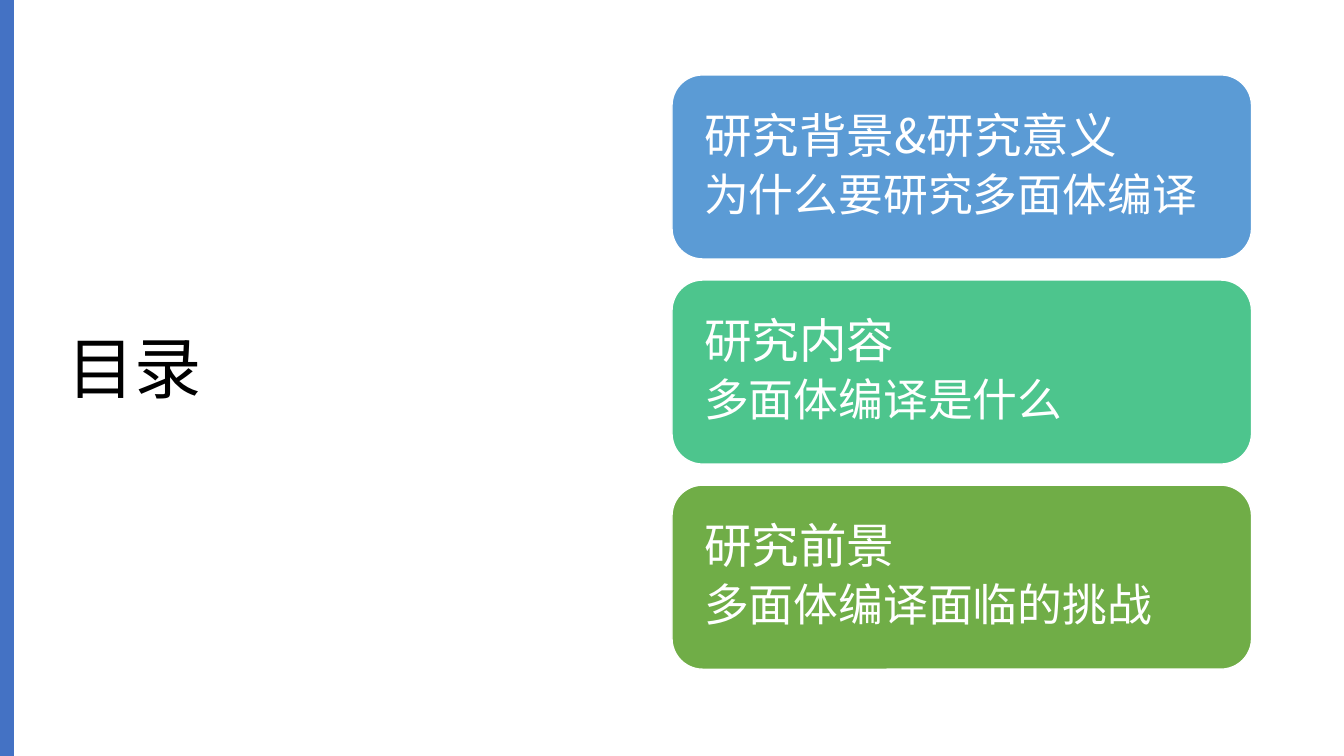
from dataclasses import dataclass
from pptx import Presentation
from pptx.dml.color import RGBColor as Rgb
from pptx.enum.shapes import MSO_SHAPE as Kind
from pptx.enum.text import MSO_ANCHOR as Anchor, PP_ALIGN as Align
from pptx.oxml.ns import qn
from pptx.util import Pt
from lxml.etree import SubElement as Sub


@dataclass
class Theme:
    font: str = "Noto Sans CJK SC"
    ink: str = "000000"
    pale: str = "FFFFFF"
    edge: str = "4472C4"
    fills: tuple = ("5B9BD5", "4DC58D", "70AD47")
    title: int = 48
    head: int = 34
    body: int = 32


class Page:
    def __init__(self, deck, theme):
        self.slide = deck.slides.add_slide(deck.slide_layouts[6])
        self.theme = theme

    def label(self, frame, rows, color, pad, after=0):
        frame.word_wrap = True
        frame.vertical_anchor = Anchor.MIDDLE
        frame.margin_left = frame.margin_right = Pt(pad)
        frame.margin_top = frame.margin_bottom = Pt(pad)
        for i, (text, size) in enumerate(rows):
            para = frame.add_paragraph() if i else frame.paragraphs[0]
            para.alignment = Align.LEFT
            para.line_spacing = 0.9
            para.space_after = Pt(after)
            run = para.add_run()
            run.text = text
            run.font.size = Pt(size)
            run.font.name = self.theme.font
            run.font.color.rgb = Rgb.from_string(color)
            Sub(run.font._element, qn("a:ea"), typeface=self.theme.font)

    def shape(self, kind, box, fill, line=None):
        item = self.slide.shapes.add_shape(kind, *map(Pt, box))
        item.shadow.inherit = False
        item.fill.solid()
        item.fill.fore_color.rgb = Rgb.from_string(fill)
        if line:
            item.line.color.rgb = Rgb.from_string(line)
            item.line.width = Pt(1)
        else:
            item.line.fill.background()
        return item

    def title(self, text, box):
        item = self.slide.shapes.add_textbox(*map(Pt, box))
        self.label(item.text_frame, [(text, self.theme.title)], self.theme.ink, 7.2)

    def bar(self, box):
        self.shape(Kind.RECTANGLE, box, self.theme.edge)

    def card(self, box, fill, head, body):
        look = self.theme
        item = self.shape(Kind.ROUNDED_RECTANGLE, box, fill, look.pale)
        rows = [(head, look.head), (body, look.body)]
        self.label(item.text_frame, rows, look.pale, 16.5, 6.3)


def main():
    deck = Presentation()
    deck.slide_width, deck.slide_height = Pt(960), Pt(540)
    theme = Theme()
    page = Page(deck, theme)
    page.title("目录", (41, 49, 408, 433.5))
    page.bar((0, 0, 10, 540))
    topics = [
        ("研究背景&研究意义", "为什么要研究多面体编译"),
        ("研究内容", "多面体编译是什么"),
        ("研究前景", "多面体编译面临的挑战"),
    ]
    top, high, gap = 53.5, 131.5, 15
    for i, (fill, topic) in enumerate(zip(theme.fills, topics)):
        page.card((480, top + i * (high + gap), 414, high), fill, *topic)
    deck.save("out.pptx")


if __name__ == "__main__":
    main()
